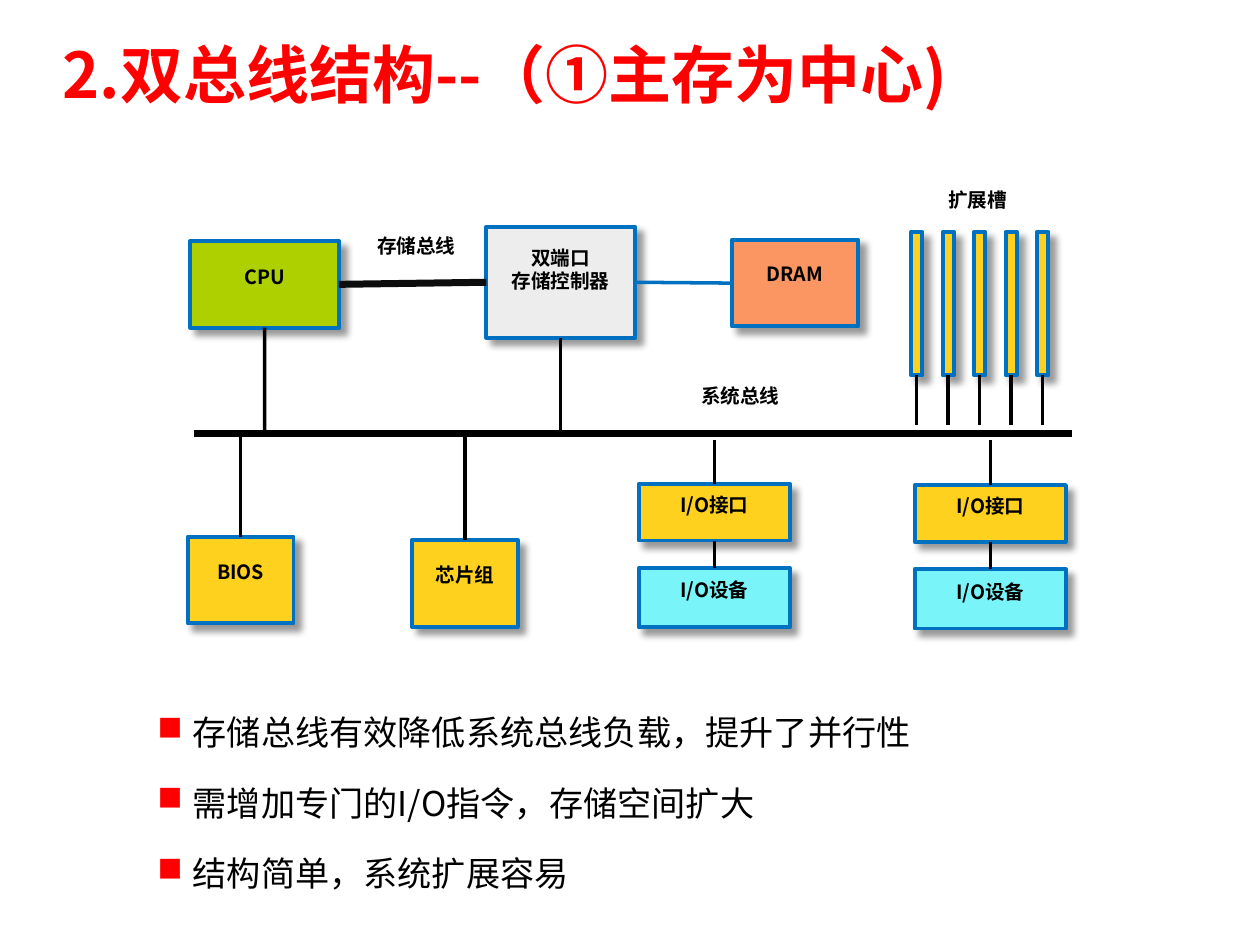
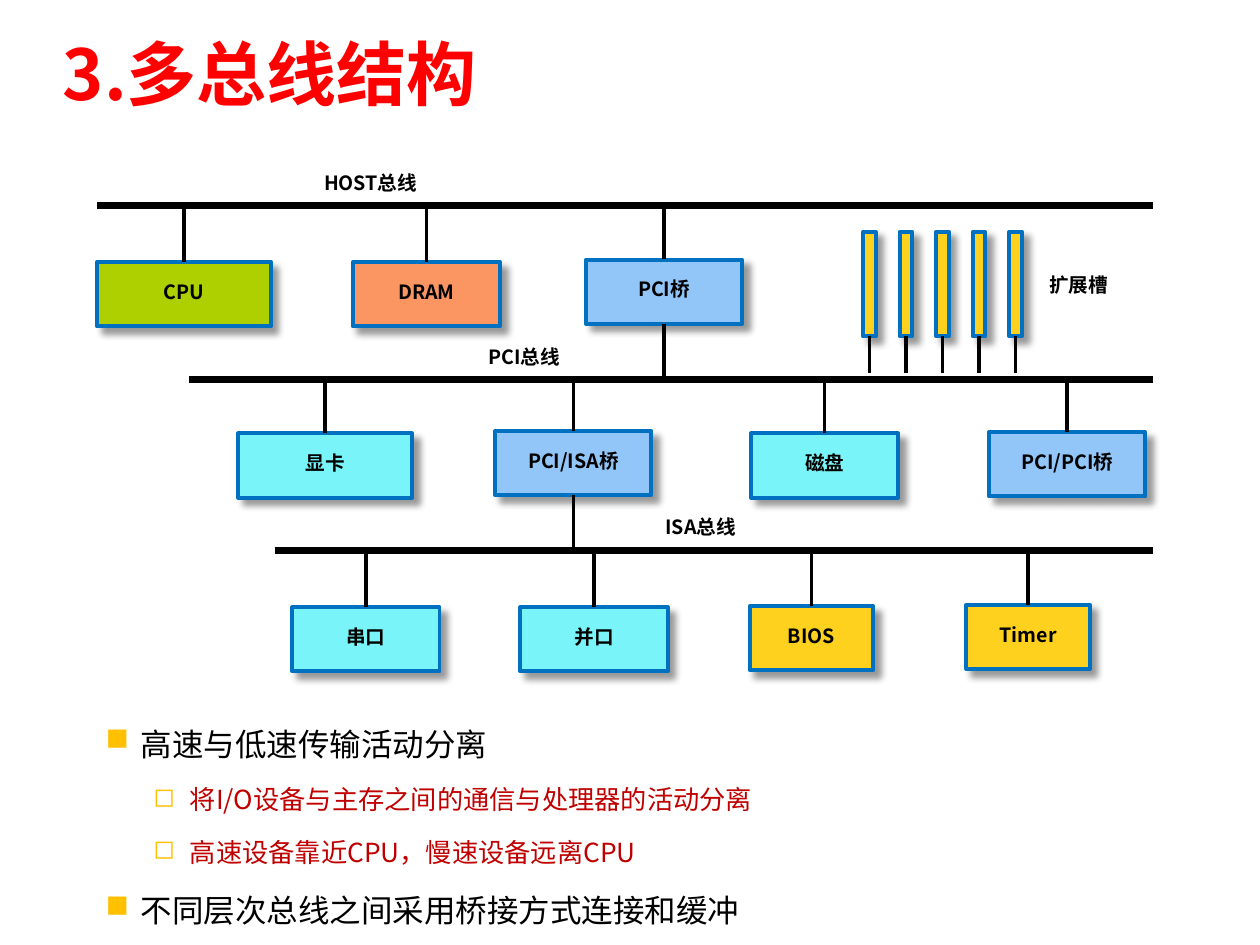
from lxml import etree
from pptx import Presentation
from pptx.dml.color import RGBColor
from pptx.enum.shapes import MSO_CONNECTOR, MSO_SHAPE
from pptx.enum.text import MSO_ANCHOR, PP_ALIGN
from pptx.oxml.ns import qn
from pptx.util import Pt

RECT = MSO_SHAPE.RECTANGLE
STRAIGHT = MSO_CONNECTOR.STRAIGHT
TOP, MIDDLE = MSO_ANCHOR.TOP, MSO_ANCHOR.MIDDLE
LEFT, CENTER, JUST = PP_ALIGN.LEFT, PP_ALIGN.CENTER, PP_ALIGN.JUSTIFY
UP, WEST, DOWN, EAST = range(4)

FONT = "Noto Sans CJK SC"
LABEL = 11.2
THIN, THICK = 2, 4
COLORS = {
    "red": "FF0000", "crimson": "C00000", "amber": "FFC000",
    "black": "000000", "ink": "0D0D0D", "edge": "0070C0",
    "green": "AECF00", "yellow": "FDD11E", "cyan": "79F5F9",
    "orange": "FB9562", "gray": "EDEDED", "blue": "92C5F8",
}


def rgb(name):
    return RGBColor.from_string(COLORS[name])


def add_run(para, text, size, color="black", bold=False):
    run = para.add_run()
    run.text = text
    font = run.font
    font.name, font.size, font.bold = FONT, Pt(size), bold
    font.color.rgb = rgb(color)
    east = etree.SubElement(run._r.get_or_add_rPr(), qn("a:ea"))
    east.set("typeface", FONT)


def set_frame(frame, side=7.2, top=3.6, anchor=TOP):
    frame.word_wrap = True
    frame.vertical_anchor = anchor
    frame.margin_left = frame.margin_right = Pt(side)
    frame.margin_top, frame.margin_bottom = Pt(top), Pt(0)


def add_lines(frame, text):
    """Fill a frame with centred bold label lines."""
    for i, line in enumerate(text.split("\n")):
        para = frame.paragraphs[0] if i == 0 else frame.add_paragraph()
        para.alignment = CENTER
        add_run(para, line, LABEL, bold=True)


def add_text(slide, x, y, w, h):
    return slide.shapes.add_textbox(Pt(x), Pt(y), Pt(w), Pt(h)).text_frame


def add_title(slide, text, size):
    frame = add_text(slide, 28.8, 20.2, 620.6, 49)
    set_frame(frame, top=0, anchor=MIDDLE)
    para = frame.paragraphs[0]
    para.line_spacing = 0.9
    add_run(para, text, size, "red", True)


def add_label(slide, text, x, y, w):
    frame = add_text(slide, x, y, w, 23)
    set_frame(frame)
    add_lines(frame, text)


def add_shadow(shape):
    shape.shadow.inherit = False
    effects = shape._element.spPr.find(qn("a:effectLst"))
    outer = etree.SubElement(effects, qn("a:outerShdw"), blurRad=str(Pt(4)),
                             dist=str(Pt(5)), dir="2700000", algn="tl", rotWithShape="0")
    color = etree.SubElement(outer, qn("a:srgbClr"), val=COLORS["black"])
    etree.SubElement(color, qn("a:alpha"), val="40000")


def add_box(slide, text, x, y, w, h, fill, drop=0):
    """Draw a block; drop is how far its label sits below the top edge."""
    box = slide.shapes.add_shape(RECT, Pt(x), Pt(y), Pt(w), Pt(h))
    box.fill.solid()
    box.fill.fore_color.rgb = rgb(fill)
    box.line.color.rgb = rgb("edge")
    box.line.width = Pt(2.25)
    add_shadow(box)
    if text:
        set_frame(box.text_frame, side=0, top=drop + 3.6)
        add_lines(box.text_frame, text)
    return box


def add_line(slide, x1, y1, x2, y2, width=THIN, color="black"):
    line = slide.shapes.add_connector(STRAIGHT, Pt(x1), Pt(y1), Pt(x2), Pt(y2))
    line.line.width = Pt(width)
    line.line.color.rgb = rgb(color)
    etree.SubElement(line._element.spPr, qn("a:effectLst"))
    return line


def add_bus(slide, x1, x2, y):
    add_line(slide, x1, y, x2, y, THICK)


def add_link(slide, a, side, b, end, width=THIN, color="black"):
    line = add_line(slide, 0, 0, 0, 0, width, color)
    line.begin_connect(a, side)
    line.end_connect(b, end)


def add_stem(slide, box, side, y):
    """Run a vertical line from the middle of a box side to height y."""
    x = (box.left + box.width / 2) / Pt(1)
    add_line(slide, x, y, x, y).begin_connect(box, side)


def add_slots(slide, x, step, w, h, y):
    for i in range(5):
        slot = add_box(slide, "", x + i * step, 132.5, w, h, "yellow")
        add_stem(slide, slot, DOWN, y)


def add_bullets(slide, place, items, side, top, gap, align, mark):
    """Each item is (text, level); STYLES-like values come per level."""
    frame = add_text(slide, *place)
    set_frame(frame, side, top)
    for i, (text, size, color, sign, left, hang) in enumerate(items):
        para = frame.paragraphs[0] if i == 0 else frame.add_paragraph()
        para.alignment = align
        para.line_spacing, para.space_before = gap[0], Pt(gap[1])
        props = para._p.get_or_add_pPr()
        props.set("marL", str(Pt(left)))
        props.set("indent", str(-Pt(hang)))
        tint = etree.SubElement(props, qn("a:buClr"))
        etree.SubElement(tint, qn("a:srgbClr"), val=COLORS[mark])
        etree.SubElement(props, qn("a:buChar"), char=sign)
        add_run(para, text, size, color)


def draw_dual(slide):
    add_title(slide, "2.双总线结构--（①主存为中心)", 36)
    points = ["存储总线有效降低系统总线负载，提升了并行性",
              "需增加专门的I/O指令，存储空间扩大", "结构简单，系统扩展容易"]
    add_bullets(slide, (82.8, 393.8, 592.6, 126),
                [(text, 19.5, "black", "■", 20.2, 20.2) for text in points],
                7.2, 3.6, (1.4, 7.5), JUST, "red")

    # Memory row above the system bus
    bus = 247.7
    add_bus(slide, 110.9, 612.7, bus)
    cpu = add_box(slide, "CPU", 108.7, 137.7, 85, 49.6, "green", 9.9)
    port = add_box(slide, "双端口\n存储控制器", 277.9, 129.6, 85, 63.4, "gray", 7.2)
    dram = add_box(slide, "DRAM", 418.3, 137, 72, 49.6, "orange", 9.2)
    add_link(slide, cpu, EAST, port, WEST, THICK, "ink")
    add_link(slide, port, EAST, dram, WEST, THIN, "edge")
    for box in (cpu, port):
        add_stem(slide, box, DOWN, bus)

    # Chips and devices below it
    for text, x, y in (("BIOS", 107.3, 306.7), ("芯片组", 235.4, 308.6)):
        chip = add_box(slide, text, x, y, 60.5, 49.6, "yellow", 9.7)
        add_stem(slide, chip, UP, bus)
    for x, y in ((365, 276.5), (522.7, 277.2)):
        port = add_box(slide, "I/O接口", x, y, 86.4, 32.4, "yellow", 1.4)
        unit = add_box(slide, "I/O设备", x, y + 48.2, 86.4, 33.8, "cyan", 2.2)
        add_stem(slide, port, UP, 251.3)
        add_link(slide, port, DOWN, unit, UP)

    add_slots(slide, 520.6, 18, 6.5, 82, 242.6)
    add_label(slide, "系统总线", 355, 216, 136)
    add_label(slide, "存储总线", 198.7, 130.3, 78.5)
    add_label(slide, "扩展槽", 524.2, 103.7, 69)


def draw_multi(slide):
    add_title(slide, "3.多总线结构", 40)
    main_style = (18, "black", "■", 20.2, 20.2)
    sub_style = (15, "crimson", "◻", 48.2, 20.9)
    add_bullets(slide, (55.4, 400.3, 573, 142.6),
                [("高速与低速传输活动分离", *main_style),
                 ("将I/O设备与主存之间的通信与处理器的活动分离", *sub_style),
                 ("高速设备靠近CPU，慢速设备远离CPU", *sub_style),
                 ("不同层次总线之间采用桥接方式连接和缓冲", *main_style)],
                5, 2.9, (1.5, 3), LEFT, "amber")

    # Each tier: bus left end, bus height, then the blocks hanging from it
    host, pci, isa = 117.4, 216.7, 314.6
    tiers = [
        (55.4, host, [("CPU", 55.4, 149.8, 99.4, "green"),
                      ("DRAM", 201.6, 149.8, 84.2, "orange"),
                      ("PCI桥", 334.8, 148.3, 89.3, "blue")]),
        (108, pci, [("显卡", 136.1, 247.7, 99.4, "cyan"),
                    ("PCI/ISA桥", 283, 246.2, 89.3, "blue"),
                    ("磁盘", 429.1, 247.7, 84.2, "cyan"),
                    ("PCI/PCI桥", 565.2, 247, 89.3, "blue")]),
        (157, isa, [("串口", 167, 347, 84.2, "cyan"),
                    ("并口", 297.4, 347, 84.2, "cyan"),
                    ("BIOS", 428.4, 346.3, 70.6, "yellow"),
                    ("Timer", 552.2, 345.6, 70.6, "yellow")]),
    ]
    boxes = {}
    for left, bus, row in tiers:
        add_bus(slide, left, 658.8, bus)
        for text, x, y, w, fill in row:
            boxes[text] = add_box(slide, text, x, y, w, 36.7, fill, 6.6)
            add_stem(slide, boxes[text], UP, bus)

    # Bridges reach down to the next bus
    add_stem(slide, boxes["PCI桥"], DOWN, pci)
    add_stem(slide, boxes["PCI/ISA桥"], DOWN, isa)

    add_slots(slide, 493.2, 20.9, 7.2, 59.8, 213.1)
    add_label(slide, "HOST总线", 132.5, 94.3, 158.4)
    add_label(slide, "PCI总线", 244.8, 193.7, 109.4)
    add_label(slide, "ISA总线", 350, 290.9, 100.8)
    add_label(slide, "扩展槽", 579.6, 152.6, 73.4)


def main():
    deck = Presentation()
    deck.slide_width, deck.slide_height = Pt(720), Pt(540)
    for draw in (draw_dual, draw_multi):
        draw(deck.slides.add_slide(deck.slide_layouts[6]))
    deck.save("out.pptx")


if __name__ == "__main__":
    main()
